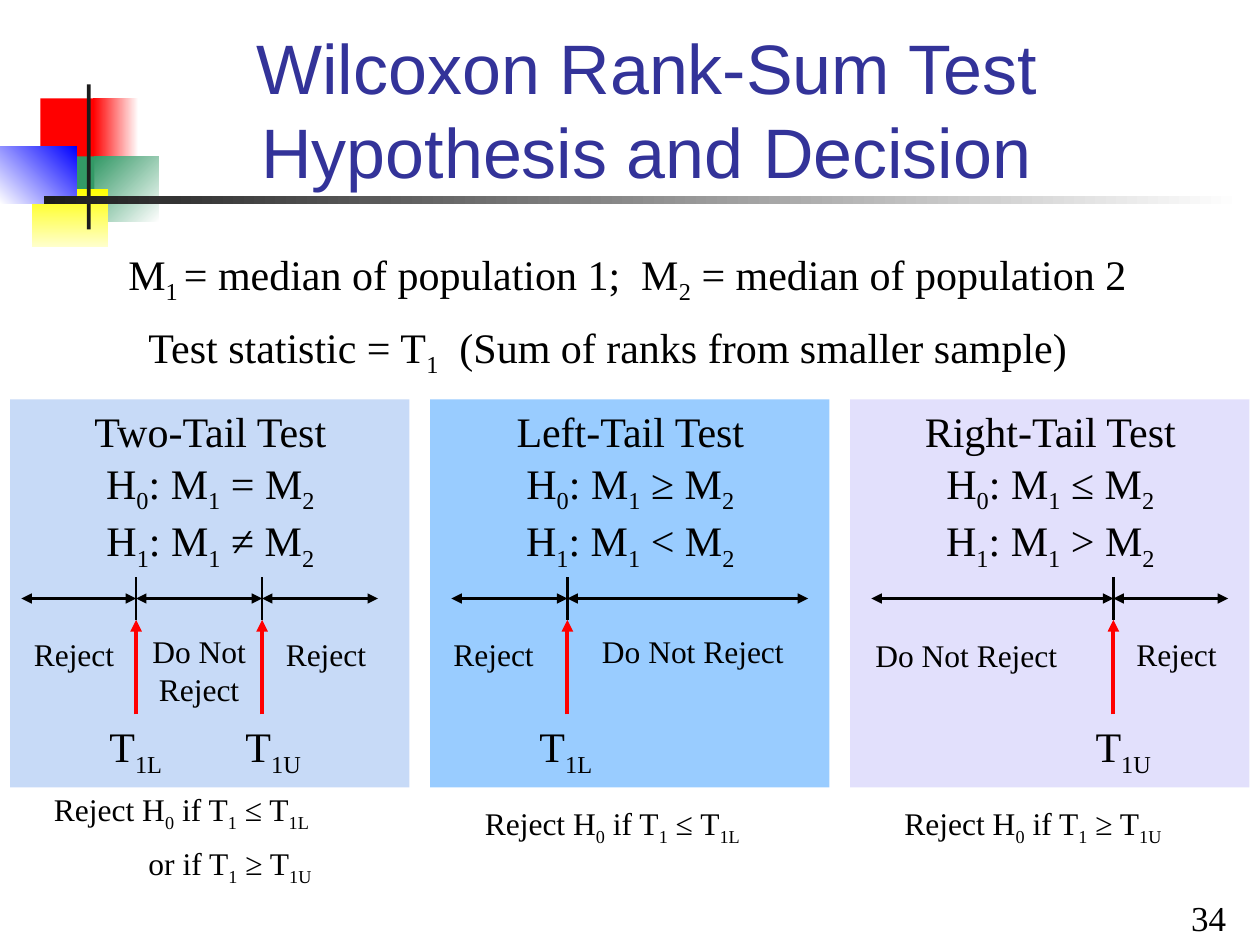
from pptx import Presentation
from pptx.dml.color import RGBColor
from pptx.enum.shapes import MSO_CONNECTOR, MSO_SHAPE
from pptx.enum.text import MSO_ANCHOR, MSO_AUTO_SIZE, PP_ALIGN
from pptx.oxml.ns import qn
from pptx.util import Inches, Pt
from lxml import etree

COLORS = {
    "title": "333399", "text": "000000", "arrow": "FF0000", "dark": "1C1C1C",
    "red": "FF0000", "green": "339966", "yellow": "FFFF00", "cream": "FFFFCC",
    "blue": "0000FF", "white": "FFFFFF",
    "two": "C7DAF7", "left": "99CCFF", "right": "E2E0FC",
}
ALIGN = {"l": PP_ALIGN.LEFT, "c": PP_ALIGN.CENTER, "r": PP_ALIGN.RIGHT}

prs = Presentation()
prs.slide_width, prs.slide_height = Inches(10), Inches(7.5)
s = prs.slides.add_slide(prs.slide_layouts[6])


def add_text(text, x, y, w, h, size=24, font="Times New Roman", color="text", align="l",
             before=0, spacing=None, bottom=False, indents=()):
    """One paragraph per line; every second part between bars is a subscript."""
    tf = s.shapes.add_textbox(Inches(x), Inches(y), Inches(w), Inches(h)).text_frame
    tf.word_wrap = True
    tf.auto_size = MSO_AUTO_SIZE.NONE if bottom else MSO_AUTO_SIZE.SHAPE_TO_FIT_TEXT
    tf.vertical_anchor = MSO_ANCHOR.BOTTOM if bottom else MSO_ANCHOR.TOP
    for i, line in enumerate(text.split("\n")):
        p = tf.paragraphs[0] if i == 0 else tf.add_paragraph()
        p.alignment = ALIGN[align]
        p.space_before = Pt(before)
        if spacing:
            p.line_spacing = spacing
        if i < len(indents):
            p._p.get_or_add_pPr().set("marL", str(Inches(indents[i])))
        for j, part in enumerate(line.split("|")):
            if not part:
                continue
            r = p.add_run()
            r.text = part
            r.font.size, r.font.name = Pt(size), font
            r.font.color.rgb = RGBColor.from_string(COLORS[color])
            if j % 2:
                r._r.get_or_add_rPr().set("baseline", "-25000")


def add_line(x1, y1, x2, y2, color="text", width=1.5, ends=()):
    ln = s.shapes.add_connector(MSO_CONNECTOR.STRAIGHT, Inches(x1), Inches(y1),
                                Inches(x2), Inches(y2))
    ln.line.color.rgb = RGBColor.from_string(COLORS[color])
    ln.line.width = Pt(width)
    for end in ends:
        etree.SubElement(ln.line._get_or_add_ln(), qn(f"a:{end}"), type="triangle")
    etree.SubElement(ln._element.spPr, qn("a:effectLst"))


# Corner ornament, title rule and panels: place, fill colours, gradient angle
PITCH = 10 / 3
blocks = [
    (0.32, 0.78, 0.48, 0.52, ["red"], 0),
    (0.74, 0.78, 0.36, 0.52, ["white", "red"], 180),
    (0.75, 1.24, 0.51, 0.52, ["white", "green"], 135),
    (0.43, 1.24, 0.32, 0.52, ["green"], 0),
    (0.25, 1.5, 0.61, 0.46, ["yellow", "cream"], 270),
    (0, 1.16, 0.61, 0.46, ["blue", "white"], 225),
    (0.69, 0.67, 0.03, 1.15, ["dark"], 0),
    (0.35, 1.56, 9.51, 0.06, ["white", "dark"], 180),
]
blocks += [(0.08 + i * PITCH, 3.17, 3.17, 3.08, [name], 0)
           for i, name in enumerate(["two", "left", "right"])]
for x, y, w, h, fills, angle in blocks:
    sp = s.shapes.add_shape(MSO_SHAPE.RECTANGLE, Inches(x), Inches(y), Inches(w), Inches(h))
    sp.shadow.inherit = False
    sp.line.fill.background()
    if len(fills) == 1:
        sp.fill.solid()
        sp.fill.fore_color.rgb = RGBColor.from_string(COLORS[fills[0]])
    else:
        sp.fill.gradient()
        sp.fill.gradient_angle = angle
        for stop, name in zip(sp.fill.gradient_stops, fills):
            stop.color.rgb = RGBColor.from_string(COLORS[name])

# Title and definitions
add_text("Wilcoxon Rank-Sum Test\nHypothesis and Decision", 1.26, 0.25, 7.74, 1.33,
         size=40, font="Arial", color="title", align="c", bottom=True)
add_text("M|1 |= median of population 1;  M|2| = median of population 2", 0.92, 2, 8.83, 0.42,
         before=15, spacing=0.7)
add_text("Test statistic = T|1|  (Sum of ranks from smaller sample)", 1.08, 2.5, 8.42, 0.56,
         before=15)

# Panels: name, signs of H0 and H1, axis stops, critical values (name, stop, label left)
panels = [
    ("Two-Tail Test", "=", "≠", [0.17, 1.08, 2.08, 3], [("1L", 1.08, 0.77), ("1U", 2.08, 1.85)]),
    ("Left-Tail Test", "≥", "<", [0.25, 1.17, 3.08], [("1L", 1.17, 0.85)]),
    ("Right-Tail Test", "≤", ">", [0.25, 2.17, 3.08], [("1U", 2.17, 1.93)]),
]
for i, (name, null, alt, stops, criticals) in enumerate(panels):
    x0 = i * PITCH
    add_text(name, x0 + 0.17, 3.17, 3, 0.5, align="c", before=15)
    add_text(f"H|0|: M|1| {null} M|2|\nH|1|: M|1| {alt} M|2|", x0 + 0.17, 3.58, 3, 1.01, align="c")
    for start, end in zip(stops, stops[1:]):
        add_line(x0 + start, 4.75, x0 + end, 4.75, ends=("headEnd", "tailEnd"))
    for sub, x, label_x in criticals:
        add_line(x0 + x, 5.67, x0 + x, 4.92, "arrow", 2.24, ends=("tailEnd",))
        add_line(x0 + x, 4.58, x0 + x, 4.92)
        add_text(f"T|{sub}|", x0 + label_x, 5.67, 0.7, 0.56)

# Region labels
for x, w in [(0.17, 1.25), (2.17, 1), (3.5, 1.25), (8.92, 1)]:
    add_text("Reject", x, 4.99, w, 0.4, size=18, before=11.2)
for x, y, w, h in [(1.07, 4.97, 1.02, 0.7), (4.5, 4.97, 2, 0.4), (6.67, 5, 2, 0.4)]:
    add_text("Do Not Reject", x, y, w, h, size=18, align="c")

# Decision rules
add_text("Reject H|0| if T|1| ≤ T|1L|\nor if T|1| ≥ T|1U|", 0.33, 6.25, 2.58, 0.8,
         size=18, before=11.2, spacing=0.8, indents=(0, 0.75))
for x, rule in [(3.75, "≤ T|1L|"), (7.08, "≥ T|1U|")]:
    add_text(f"Reject H|0| if T|1| {rule}", x, 6.33, 2.58, 0.44, size=18, before=11.2)

# Slide number
add_text("34", 7.5, 7.15, 2.33, 0.35, size=20, align="r", bottom=True)

prs.save("out.pptx")
